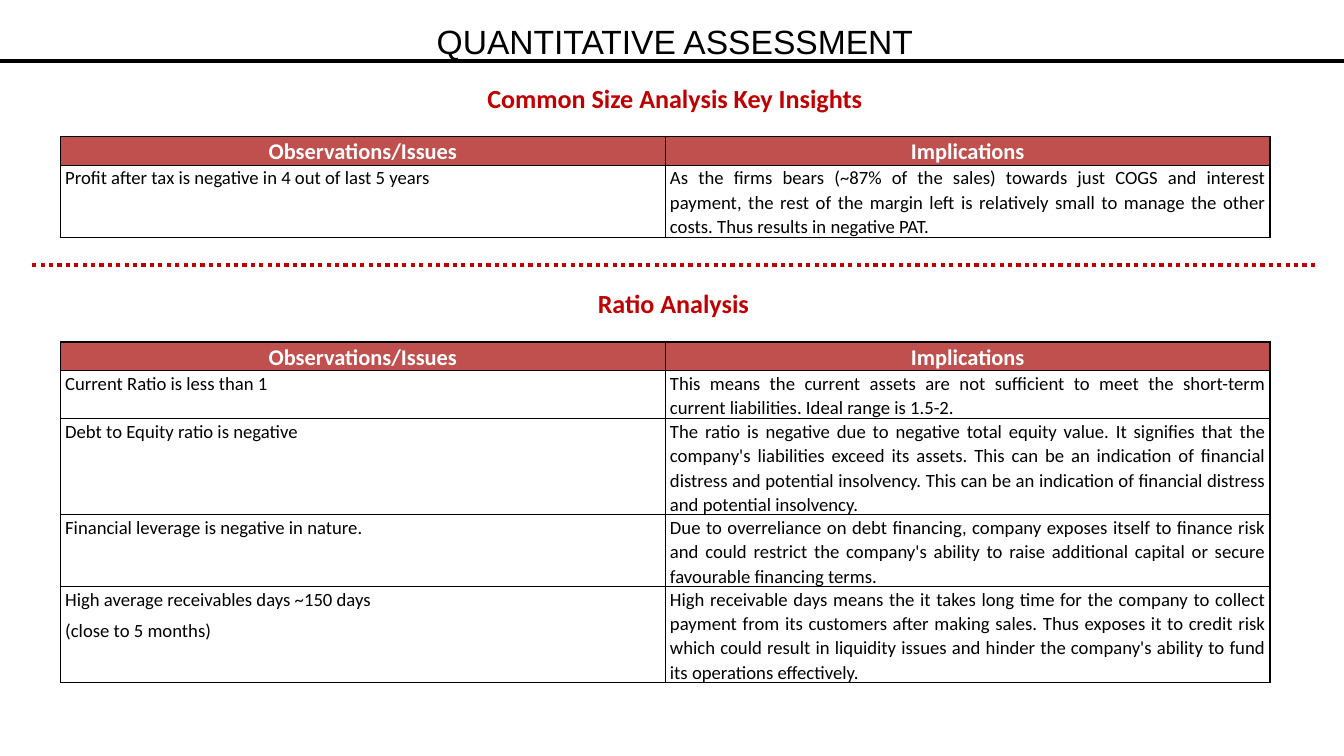
"""Build the quantitative assessment slide with its two insight tables."""
from dataclasses import dataclass

from lxml import etree
from pptx import Presentation
from pptx import util as u
from pptx.dml.color import RGBColor
from pptx.enum import dml, shapes, text
from pptx.oxml.ns import qn


@dataclass(frozen=True)
class Theme:
    black: str = "000000"
    white: str = "FFFFFF"
    accent: str = "C00000"
    header: str = "C0504D"
    title_font: str = "Arial"
    body_font: str = "Calibri"
    title_size: int = 36
    heading_size: int = 28
    header_size: int = 24
    body_size: int = 20
    border: float = 1.5


THEME = Theme()
HEADERS = ("Observations/Issues", "Implications")
COMMON_SIZE = [
    ("Profit after tax is negative in 4 out of last 5 years",
     "As the firms bears (~87% of the sales) towards just COGS and interest payment, the rest of the "
     "margin left is relatively small to manage the other costs. Thus results in negative PAT."),
]
RATIOS = [
    ("Current Ratio is less than 1",
     "This means the current assets are not sufficient to meet the short-term current liabilities. "
     "Ideal range is 1.5-2."),
    ("Debt to Equity ratio is negative",
     "The ratio is negative due to negative total equity value. It signifies that the company's "
     "liabilities exceed its assets. This can be an indication of financial distress and potential "
     "insolvency. This can be an indication of financial distress and potential insolvency."),
    ("Financial leverage is negative in nature.",
     "Due to overreliance on debt financing, company exposes itself to finance risk and could restrict "
     "the company's ability to raise additional capital or secure favourable financing terms."),
    ("High average receivables days ~150 days\n(close to 5 months)",
     "High receivable days means the it takes long time for the company to collect payment from its "
     "customers after making sales. Thus exposes it to credit risk which could result in liquidity "
     "issues and hinder the company's ability to fund its operations effectively."),
]


def write(frame, wording, size, color=THEME.black, font=THEME.body_font, bold=False,
          align=text.PP_ALIGN.CENTER, line_spacing=None, space_after=None):
    """Fill a text frame with one formatted paragraph per line of wording."""
    frame.word_wrap = True
    frame.text = wording
    for paragraph in frame.paragraphs:
        paragraph.alignment = align
        paragraph.line_spacing = line_spacing
        paragraph.space_after = space_after
        for run in paragraph.runs:
            run.font.name = font
            run.font.size = u.Pt(size)
            run.font.bold = bold
            run.font.color.rgb = RGBColor.from_string(color)


def place_title(slide, wording):
    """Move and format the title placeholder."""
    title = slide.shapes.title
    title.left, title.top = u.Inches(0.09), u.Inches(0.13)
    title.width, title.height = u.Inches(19.91), u.Inches(0.69)
    frame = title.text_frame
    frame.margin_left = frame.margin_top = frame.margin_right = frame.margin_bottom = 0
    frame.vertical_anchor = text.MSO_ANCHOR.TOP
    frame.auto_size = text.MSO_AUTO_SIZE.SHAPE_TO_FIT_TEXT
    write(frame, wording, THEME.title_size, font=THEME.title_font, line_spacing=u.Pt(56))


def add_heading(slide, wording, left, top):
    """Add a centred section heading."""
    heading = slide.shapes.add_textbox(u.Inches(left), u.Inches(top), u.Inches(6.56), u.Inches(0.57))
    heading.text_frame.auto_size = text.MSO_AUTO_SIZE.SHAPE_TO_FIT_TEXT
    write(heading.text_frame, wording, THEME.heading_size, THEME.accent, bold=True)


def add_rule(slide, start, end, top, color, weight, dash=None):
    """Add a horizontal rule without a shadow."""
    rule = slide.shapes.add_connector(shapes.MSO_CONNECTOR.STRAIGHT, u.Inches(start), u.Inches(top),
                                      u.Inches(end), u.Inches(top))
    rule.line.color.rgb = RGBColor.from_string(color)
    rule.line.width = u.Pt(weight)
    if dash is not None:
        rule.line.dash_style = dash
    etree.SubElement(rule._element.spPr, qn("a:effectLst"))


def add_borders(cell):
    """Draw a solid border on all four sides of a cell."""
    properties = cell._tc.get_or_add_tcPr()
    for side in ("lnL", "lnR", "lnT", "lnB"):
        border = etree.SubElement(properties, qn(f"a:{side}"), w=str(u.Pt(THEME.border)))
        fill = etree.SubElement(border, qn("a:solidFill"))
        etree.SubElement(fill, qn("a:srgbClr"), val=THEME.black)


def format_cell(cell, wording, is_header):
    """Write one table cell with its borders, fill and text."""
    cell.margin_left = cell.margin_right = u.Inches(0.07)
    cell.margin_top = cell.margin_bottom = 0
    add_borders(cell)
    if is_header:
        cell.fill.solid()
        cell.fill.fore_color.rgb = RGBColor.from_string(THEME.header)
        style = dict(size=THEME.header_size, color=THEME.white, bold=True)
    else:
        cell.fill.background()
        style = dict(size=THEME.body_size, align=text.PP_ALIGN.JUSTIFY)
    write(cell.text_frame, wording, line_spacing=1.07, space_after=u.Pt(8), **style)


def add_insights(slide, top, findings, heights):
    """Add a table of observations and their implications."""
    rows = [HEADERS, *findings]
    table = slide.shapes.add_table(len(rows), len(HEADERS), u.Inches(0.9), u.Inches(top),
                                   u.Inches(18), u.Inches(sum(heights))).table
    table.first_row = table.horz_banding = False
    for row, (wordings, height) in enumerate(zip(rows, heights)):
        table.rows[row].height = u.Inches(height)
        for column, wording in enumerate(wordings):
            format_cell(table.cell(row, column), wording, row == 0)


def main():
    """Build and save the slide."""
    deck = Presentation()
    deck.slide_width, deck.slide_height = u.Inches(20), u.Inches(11.25)
    slide = deck.slides.add_slide(deck.slide_layouts[5])
    place_title(slide, "QUANTITATIVE ASSESSMENT")
    add_rule(slide, 0, 20, 0.91, THEME.black, 3.75)
    add_heading(slide, "Common Size Analysis Key Insights", 6.76, 1.18)
    add_insights(slide, 2.03, COMMON_SIZE, [0.33, 0.68])
    add_rule(slide, 19.57, 0.48, 3.94, THEME.accent, 4.5, dml.MSO_LINE.ROUND_DOT)
    add_heading(slide, "Ratio Analysis", 6.74, 4.23)
    add_insights(slide, 5.09, RATIOS, [0.33, 0.56, 1.05, 1.05, 1.05])
    deck.save("out.pptx")


if __name__ == "__main__":
    main()
